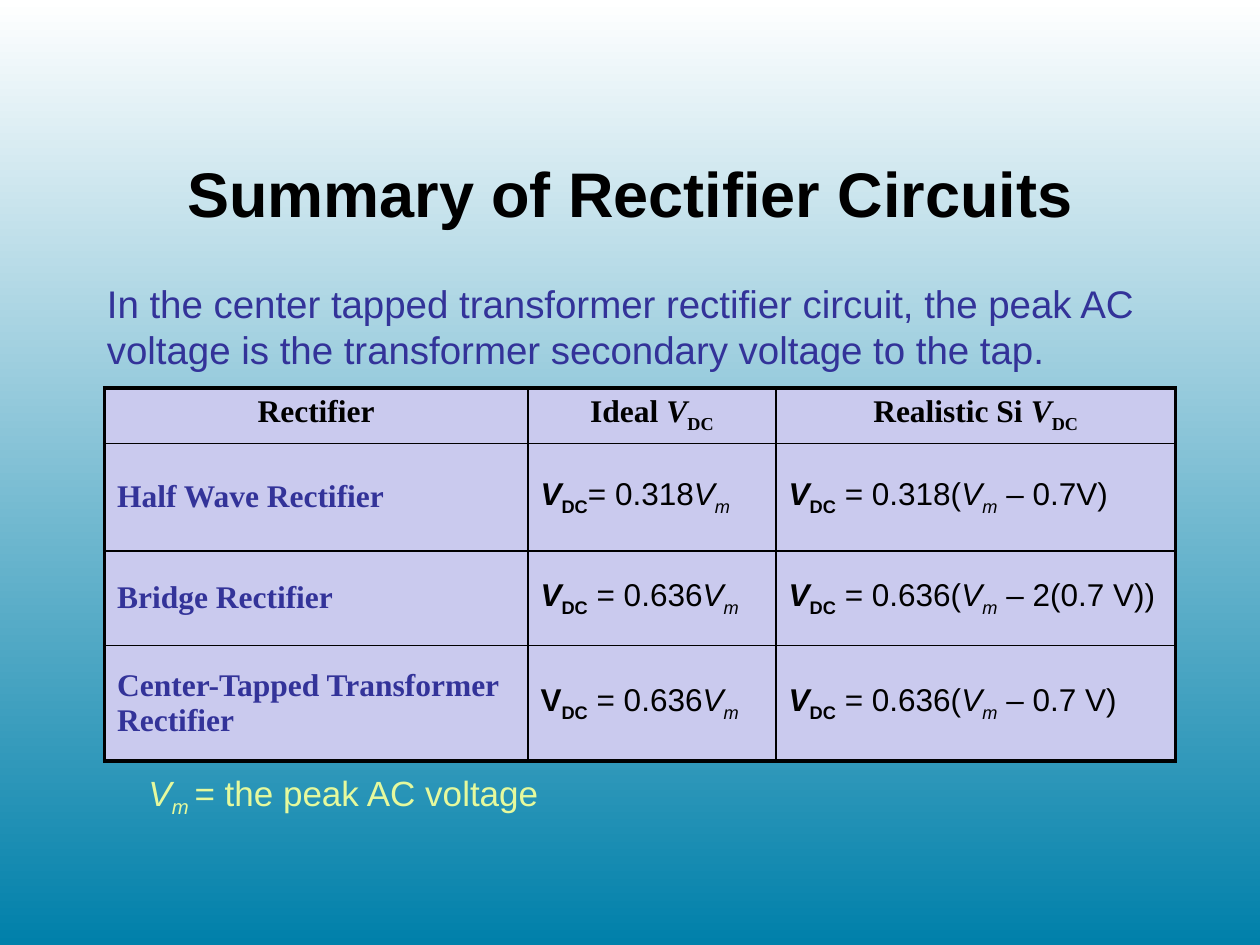
"""Build the rectifier circuit summary slide."""
from pptx import Presentation
from pptx import util as u
from pptx.dml.color import RGBColor
from pptx.enum import text
from pptx.oxml import parse_xml
from pptx.oxml.ns import nsdecls

COLORS = {"white": "FFFFFF", "teal": "0080AA", "black": "000000",
          "indigo": "333399", "lime": "E5F99D", "lavender": "CACAEE"}
SANS, SERIF = "Arial", "Times New Roman"
VM = [("V", "i"), ("m", "is")]
VDC = [("V", "bi"), ("DC", "bs")]
HEADERS = [[("Rectifier", "b")],
           [("Ideal ", "b"), *VDC],
           [("Realistic Si ", "b"), *VDC]]
ROWS = [
    ("Half Wave Rectifier", VDC, "= 0.318", " = 0.318(", " – 0.7V)"),
    ("Bridge Rectifier", VDC, " = 0.636", " = 0.636(", " – 2(0.7 V))"),
    ("Center-Tapped Transformer Rectifier", [("V", "b"), ("DC", "bs")],
     " = 0.636", " = 0.636(", " – 0.7 V)"),
]


class Deck:
    """Hold the presentation, its style and the current slide."""

    def __init__(self):
        self.prs = Presentation()
        self.prs.slide_width, self.prs.slide_height = u.Inches(10), u.Inches(7.5)
        self.s = self.prs.slides.add_slide(self.prs.slide_layouts[5])

    def rgb(self, name):
        return RGBColor.from_string(COLORS[name])

    def background(self, top, bottom):
        fill = self.s.background.fill
        fill.gradient()
        fill.gradient_angle = 270
        for stop, name, position in zip(fill.gradient_stops, (top, bottom), (0, 1)):
            stop.color.rgb, stop.position = self.rgb(name), position

    def add_runs(self, tf, runs, size, color, font=SANS, align=text.PP_ALIGN.LEFT):
        tf.word_wrap = True
        p = tf.paragraphs[0]
        p.alignment = align
        for content, marks in runs:
            r = p.add_run()
            r.text = content
            r.font.name, r.font.size = font, u.Pt(size)
            r.font.color.rgb = self.rgb(color)
            r.font.bold, r.font.italic = "b" in marks, "i" in marks
            if "s" in marks:
                r.font._element.set("baseline", "-25000")

    def title(self, box, content):
        sp = self.s.shapes.title
        sp.left, sp.top, sp.width, sp.height = map(u.Inches, box)
        sp.text_frame.vertical_anchor = text.MSO_ANCHOR.MIDDLE
        self.add_runs(sp.text_frame, [(content, "b")], 36, "black",
                      align=text.PP_ALIGN.CENTER)

    def textbox(self, box, runs, size, color):
        sp = self.s.shapes.add_textbox(*map(u.Inches, box))
        self.add_runs(sp.text_frame, runs, size, color)

    def border(self, cell, side, width):
        cell._tc.get_or_add_tcPr().append(parse_xml(
            f'<a:ln{side} {nsdecls("a")} w="{u.Pt(width)}"><a:solidFill>'
            f'<a:srgbClr val="{COLORS["black"]}"/></a:solidFill></a:ln{side}>'))

    def table(self, box, widths, heights, headers, rows):
        shape = self.s.shapes.add_table(len(heights), len(widths), *map(u.Inches, box))
        tbl = shape.table
        tbl.first_row = tbl.horz_banding = False
        for col, width in zip(tbl.columns, widths):
            col.width = u.Inches(width)
        for row, height in zip(tbl.rows, heights):
            row.height = u.Inches(height)
        last_row, last_col = len(heights) - 1, len(widths) - 1
        for i, line in enumerate([headers, *rows]):
            for j, runs in enumerate(line):
                cell = tbl.cell(i, j)
                outer = {"L": j == 0, "R": j == last_col,
                         "T": i == 0, "B": i == last_row}
                for side, thick in outer.items():
                    self.border(cell, side, 2.25 if thick else 1)
                cell.fill.solid()
                cell.fill.fore_color.rgb = self.rgb("lavender")
                if i == 0:
                    self.add_runs(cell.text_frame, runs, 18, "black", SERIF,
                                  text.PP_ALIGN.CENTER)
                    continue
                cell.vertical_anchor = text.MSO_ANCHOR.MIDDLE
                color, font = ("indigo", SERIF) if j == 0 else ("black", SANS)
                self.add_runs(cell.text_frame, runs, 18, color, font)


def main():
    deck = Deck()
    deck.background("white", "teal")
    deck.title((0, 1.17, 10, 0.71), "Summary of Rectifier Circuits")
    deck.textbox((1.08, 6.07, 7.75, 0.43),
                 [("V", "i"), ("m ", "is"), ("= the peak AC voltage", "")], 20, "lime")
    rows = [([(name, "b")],
             [*symbol, (ideal, ""), *VM],
             [*VDC, (real, ""), *VM, (drop, "")])
            for name, symbol, ideal, real, drop in ROWS]
    deck.table((0.83, 3.08, 8.5, 2.92), (3.36, 1.97, 3.17),
               (0.4, 0.85, 0.75, 0.92), HEADERS, rows)
    deck.textbox((0.75, 2.17, 8.83, 0.83),
                 [("In the center tapped transformer rectifier circuit, the peak AC "
                   "voltage is the transformer secondary voltage to the tap.", "")],
                 22, "indigo")
    deck.prs.save("out.pptx")


if __name__ == "__main__":
    main()
